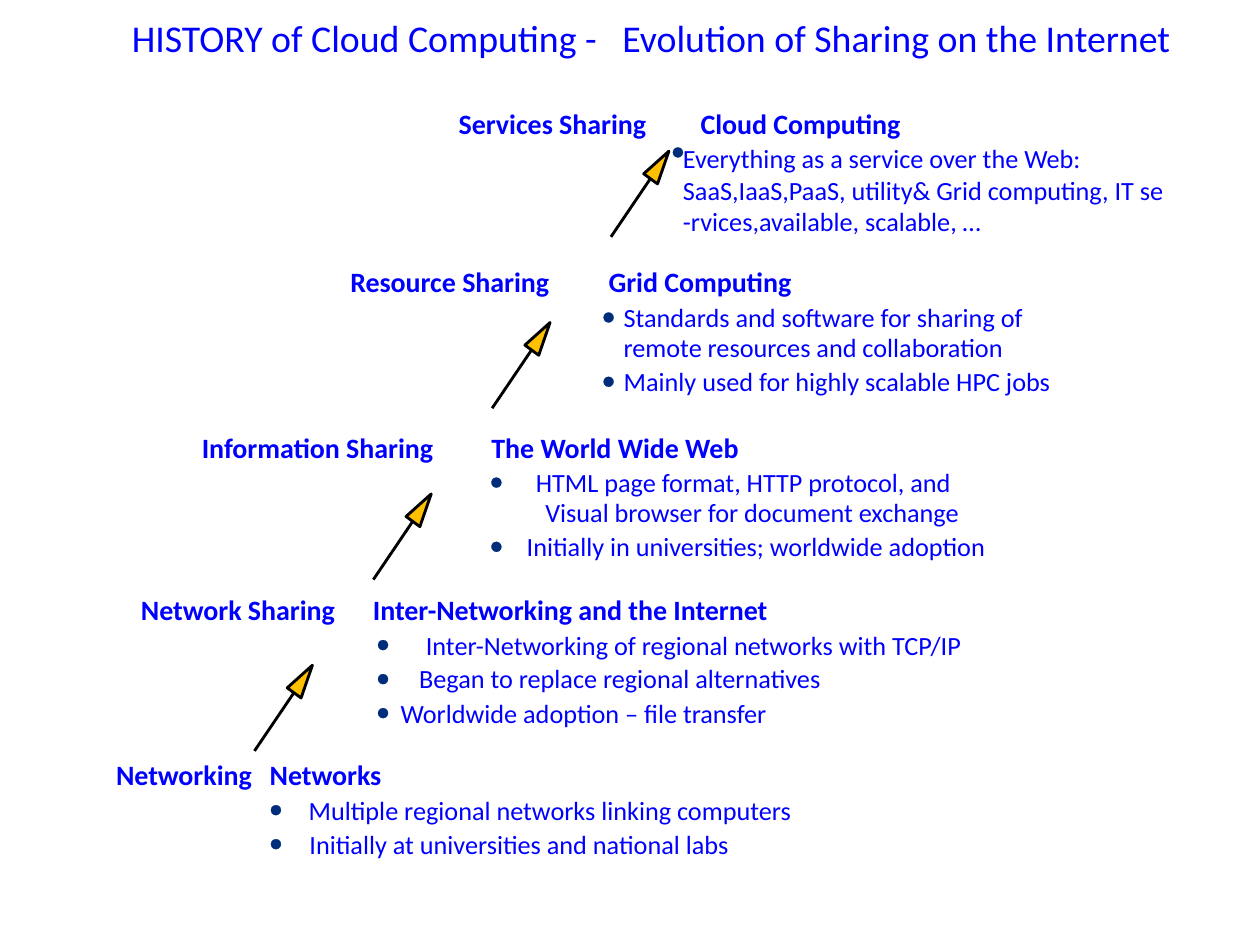
import pptx
import pptx.util
import pptx.dml.color
import pptx.enum.shapes
import pptx.enum.text
import pptx.oxml.ns
import lxml.etree

Inches = pptx.util.Inches
Pt = pptx.util.Pt
RGBColor = pptx.dml.color.RGBColor
MSO_SHAPE = pptx.enum.shapes.MSO_SHAPE
MSO_CONNECTOR = pptx.enum.shapes.MSO_CONNECTOR
ANCHOR = pptx.enum.text.MSO_ANCHOR
LEFT = pptx.enum.text.PP_ALIGN.LEFT
CENTER = pptx.enum.text.PP_ALIGN.CENTER
RIGHT = pptx.enum.text.PP_ALIGN.RIGHT

BLUE = RGBColor(0x00, 0x00, 0xFF)
NAVY = RGBColor(0x00, 0x2C, 0x7C)
BLACK = RGBColor(0x00, 0x00, 0x00)
AMBER = RGBColor(0xFF, 0xC0, 0x00)

DOT_SIZE = 0.08
HEADING_GAP = 0.29      # from a heading to its first line
BULLET_PITCH = 0.27
CONTINUATION_PITCH = 0.24

# Each step: top, (label, left, width), (heading, left, width), dot left,
# lines as (text, left, width, alignment, has bullet)
STEPS = [
    (6.01, ("Networking", 0.65, 1.35), ("Networks", 2.14, 1.01), 2.15, [
        ("Multiple regional networks linking computers", 2.27, 4.19, CENTER, True),
        ("Initially at universities and national labs", 2.3, 3.64, CENTER, True)]),
    (4.7, ("Network Sharing", 0.88, 1.78),
     ("Inter-Networking and the Internet", 2.96, 3.53), 3.0, [
        ("Inter-Networking of regional networks with TCP/IP", 3.18, 4.65, CENTER, True),
        ("Began to replace regional alternatives", 3.15, 3.54, CENTER, True),
        ("Worldwide adoption – file transfer", 3.18, 3.12, LEFT, True)]),
    (3.41, ("Information Sharing", 1.31, 2.13), ("The World Wide Web", 3.9, 2.22), 3.9, [
        ("HTML page format, HTTP protocol, and", 4.06, 3.68, CENTER, True),
        ("Visual browser for document exchange", 4.1, 3.74, CENTER, False),
        ("Initially in universities; worldwide adoption", 4.05, 3.9, CENTER, True)]),
    (2.1, ("Resource Sharing", 2.44, 1.92), ("Grid Computing", 4.83, 1.71), 4.79, [
        ("Standards and software for sharing of", 4.95, 3.57, LEFT, True),
        ("remote resources and collaboration", 4.95, 3.3, LEFT, False),
        ("Mainly used for highly scalable HPC jobs", 4.95, 3.82, LEFT, True)]),
]


def add_text(page, text, left, top, width, height, size,
             align=LEFT, anchor=ANCHOR.TOP, bold=False):
    box = page.shapes.add_textbox(Inches(left), Inches(top), Inches(width), Inches(height))
    frame = box.text_frame
    frame.word_wrap = False
    frame.vertical_anchor = anchor
    frame.margin_left = frame.margin_right = frame.margin_top = frame.margin_bottom = 0
    frame.text = text
    for para in frame.paragraphs:
        para.alignment = align
        for span in para.runs:
            span.font.name = "Calibri"
            span.font.size = Pt(size)
            span.font.bold = bold
            span.font.color.rgb = BLUE


def add_heading(page, text, left, top, width, align=LEFT):
    add_text(page, text, left, top, width, 0.27, 16, align, ANCHOR.BOTTOM, True)


def add_dot(page, left, top):
    dot = page.shapes.add_shape(MSO_SHAPE.OVAL, Inches(left), Inches(top),
                                Inches(DOT_SIZE), Inches(DOT_SIZE))
    dot.shadow.inherit = False
    dot.fill.solid()
    dot.fill.fore_color.rgb = NAVY
    dot.line.color.rgb = NAVY
    dot.line.width = Pt(0.13)


def add_arrow(page, x, y):
    """Draw a rising arrow whose tail is at (x, y)."""
    shaft = page.shapes.add_connector(MSO_CONNECTOR.STRAIGHT, Inches(x), Inches(y),
                                      Inches(x + 0.44), Inches(y - 0.65))
    lxml.etree.SubElement(shaft._element.spPr, pptx.oxml.ns.qn("a:effectLst"))
    outline = page.shapes.build_freeform(Inches(x + 0.26), Inches(y - 0.5))
    outline.add_line_segments([(Inches(x + 0.46), Inches(y - 0.68)),
                               (Inches(x + 0.37), Inches(y - 0.42))], close=True)
    head = outline.convert_to_shape()
    head.shadow.inherit = False
    head.fill.solid()
    head.fill.fore_color.rgb = AMBER
    for part in (shaft, head):
        part.line.color.rgb = BLACK
        part.line.width = Pt(1.63)


def add_step(page, top, label, heading, dot_left, lines):
    name, left, width = label
    add_heading(page, name, left, top, width, RIGHT)
    name, left, width = heading
    add_heading(page, name, left, top, width)
    line_top = top + HEADING_GAP
    for index, (text, left, width, align, bulleted) in enumerate(lines):
        if index:
            line_top += BULLET_PITCH if bulleted else CONTINUATION_PITCH
        if bulleted:
            add_dot(page, dot_left, line_top + 0.09)
        add_text(page, text, left, line_top, width, 0.25, 15, align)


def main():
    deck = pptx.Presentation()
    deck.slide_width, deck.slide_height = Inches(10), Inches(7.5)
    page = deck.slides.add_slide(deck.slide_layouts[6])

    # Title
    add_text(page, "HISTORY of Cloud Computing -   Evolution of Sharing on the Internet",
             0.67, 0.09, 9, 0.42, 21.6, CENTER, ANCHOR.MIDDLE)

    # Four lower steps, and the arrow leading up from each
    for index, step in enumerate(STEPS):
        add_step(page, *step)
        add_arrow(page, 2.02 + 0.943 * index, 5.96 - 1.36 * index)

    # Top step, with one block of text
    add_heading(page, "Services Sharing", 3.31, 0.84, 1.82, RIGHT)
    add_heading(page, "Cloud Computing", 5.56, 0.84, 1.88)
    add_dot(page, 5.34, 1.17)
    add_text(page, "Everything as a service over the Web:\v"
                   "SaaS,IaaS,PaaS, utility& Grid computing, IT se\n"
                   "-rvices,available, scalable, …", 5.42, 1.13, 4.38, 0.76, 15)

    deck.save("out.pptx")


if __name__ == "__main__":
    main()
